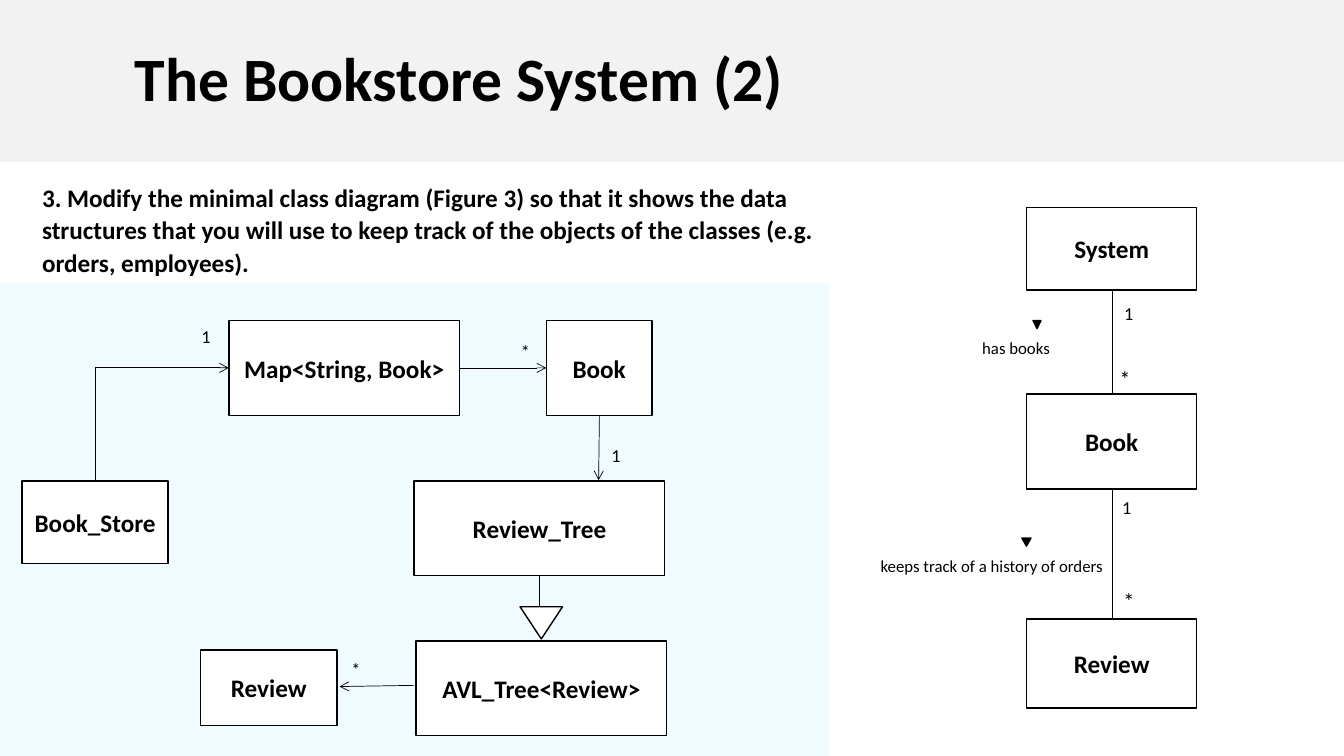
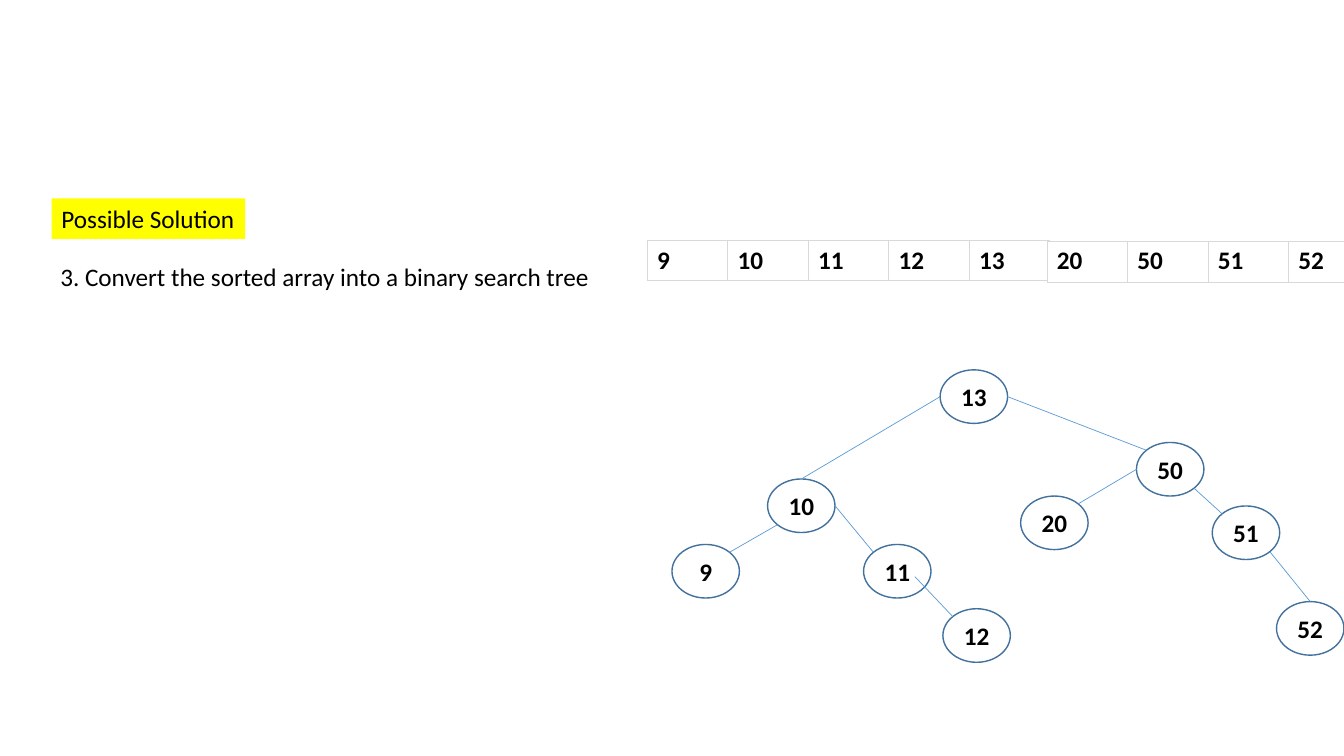
"""Build two slides: a class diagram and a binary search tree."""
from dataclasses import dataclass

from lxml.etree import SubElement
from pptx import Presentation
from pptx.dml.color import RGBColor as Rgb
from pptx.enum.shapes import MSO_CONNECTOR as Link, MSO_SHAPE as Kind
from pptx.enum.text import MSO_ANCHOR as Anchor, PP_ALIGN as Align
from pptx.oxml.ns import qn
from pptx.util import Cm, Pt


@dataclass(frozen=True)
class Theme:
    """Colours, font and type sizes of the deck."""
    font: str = "Calibri"
    ink: str = "000000"
    paper: str = "FFFFFF"
    band: str = "F2F2F2"
    panel: str = "EFFBFF"
    mark: str = "FFFF00"
    grid: str = "D9D9D9"
    ring: str = "41719C"
    branch: str = "5B9BD5"
    title: int = 44
    body: int = 18
    star: int = 16
    count: int = 13
    note: int = 12
    edge: float = 1
    thin: float = 0.5
    hair: float = 0.45


T = Theme()
WIDE, HIGH = 33.88, 19.05
NODE_W, NODE_H = 1.7, 1.35
CELL = 2.03
SITES = {"n": (0, -1), "e": (1, 0), "w": (-1, 0), "ne": (0.71, -0.71),
         "nw": (-0.71, -0.71), "se": (0.71, 0.71), "sw": (-0.71, 0.71),
         "in": (0.52, 0.2)}


def hue(code):
    """Turn a hex code into a colour."""
    return Rgb.from_string(code)


def write(frame, text, size=T.body, bold=False, align=Align.LEFT, space=None):
    """Fill a text frame with one styled paragraph."""
    par = frame.paragraphs[0]
    par.text, par.alignment, par.line_spacing = text, align, space
    font = par.font
    font.name, font.size, font.bold = T.font, Pt(size), bold
    font.color.rgb = hue(T.ink)


def form(slide, kind, box, fill, edge=None):
    """Add a flat preset shape."""
    shape = slide.shapes.add_shape(kind, *map(Cm, box))
    shape.shadow.inherit = False
    shape.fill.solid()
    shape.fill.fore_color.rgb = hue(fill)
    if edge:
        shape.line.color.rgb = hue(edge)
        shape.line.width = Pt(T.edge)
    else:
        shape.line.fill.background()
    return shape


def block(slide, text, box, kind=Kind.RECTANGLE, edge=T.ink):
    """Add an outlined shape with a bold centred name."""
    frame = form(slide, kind, box, T.paper, edge).text_frame
    frame.vertical_anchor = Anchor.MIDDLE
    frame.word_wrap = kind == Kind.RECTANGLE
    write(frame, text, bold=True, align=Align.CENTER)


def label(slide, text, box, size=T.body, wrap=False, **style):
    """Add a plain text box."""
    shape = slide.shapes.add_textbox(*map(Cm, box))
    shape.text_frame.word_wrap = wrap
    write(shape.text_frame, text, size, **style)
    return shape


def arrow(slide, ends, color=T.ink, tip=None, bent=False):
    """Add a thin connector, with an open tip if one is named."""
    kind = Link.ELBOW if bent else Link.STRAIGHT
    line = slide.shapes.add_connector(kind, *map(Cm, ends))
    line.line.color.rgb = hue(color)
    line.line.width = Pt(T.thin)
    props = line._element.spPr
    if bent:
        props.find(qn("a:prstGeom")).set("prst", "bentConnector2")
    if tip:
        SubElement(props.find(qn("a:ln")), qn(f"a:{tip}"), type="arrow")
    SubElement(props, qn("a:effectLst"))


def wedge(slide, box, fill):
    """Add a triangle that points down."""
    form(slide, Kind.ISOSCELES_TRIANGLE, box, fill, T.ink).rotation = 180


def header(slide, text):
    """Add the title band."""
    frame = form(slide, Kind.RECTANGLE, (0, 0, WIDE, 4.09), T.band).text_frame
    frame.margin_left = Cm(3.4)
    frame.vertical_anchor = Anchor.MIDDLE
    write(frame, text, T.title, bold=True, space=0.9)


def strip(slide, values, left, top, high):
    """Add a one-row table of array values."""
    size = map(Cm, (left, top, CELL * len(values), high))
    table = slide.shapes.add_table(1, len(values), *size).table
    table.first_row = table.horz_banding = False
    for cell, value in zip(table.iter_cells(), values):
        props = cell._tc.get_or_add_tcPr()
        for side in "LRTB":
            line = SubElement(props, qn(f"a:ln{side}"), w=str(Pt(T.hair)))
            fill = SubElement(line, qn("a:solidFill"))
            SubElement(fill, qn("a:srgbClr"), val=T.grid)
        cell.fill.solid()
        cell.fill.fore_color.rgb = hue(T.paper)
        write(cell.text_frame, value, bold=True)


def point(spot, site):
    """Locate a named site on a tree node."""
    (left, top), (across, down) = spot, SITES[site]
    return left + NODE_W / 2 * (1 + across), top + NODE_H / 2 * (1 + down)


def store(slide):
    """Draw the class diagrams of the bookstore."""
    form(slide, Kind.RECTANGLE, (0, 7.14, 20.9, HIGH - 7.14), T.panel)
    header(slide, "The Bookstore System (2)")
    label(slide, "3. Modify the minimal class diagram (Figure 3) so that it "
          "shows the data structures that you will use to keep track of the "
          "objects of the classes (e.g. orders, employees).",
          (0.81, 4.42, 21.11, 2.72), wrap=True, bold=True, space=1.07)
    for text, *box in (
            ("System", 25.88, 5.23, 4.29, 2.08),
            ("Book", 25.88, 9.93, 4.29, 2.39),
            ("Review", 25.88, 15.6, 4.29, 2.24),
            ("Map<String, Book>", 5.77, 8.08, 5.82, 2.39),
            ("Book", 13.77, 8.08, 2.67, 2.39),
            ("Review_Tree", 10.44, 12.12, 6.32, 2.39),
            ("Book_Store", 0.56, 12.12, 3.68, 2.08),
            ("Review", 5.05, 16.38, 3.45, 1.91),
            ("AVL_Tree<Review>", 10.49, 16.15, 6.32, 2.39)):
        block(slide, text, box)
    for ends in ((28.03, 7.31, 28.03, 9.93), (28.03, 12.32, 28.03, 15.6),
                 (13.59, 14.5, 13.59, 15.82)):
        arrow(slide, ends)
    for ends in ((11.59, 9.27, 13.77, 9.27), (15.11, 10.46, 15.09, 12.1),
                 (10.44, 17.27, 8.56, 17.3)):
        arrow(slide, ends, tip="tailEnd")
    arrow(slide, (5.77, 9.27, 2.41, 12.12), tip="headEnd", bent=True)
    wedge(slide, (13.11, 15.29, 1.07, 0.81), T.paper)
    wedge(slide, (26.04, 8.08, 0.2, 0.2), T.ink)
    wedge(slide, (25.76, 13.56, 0.23, 0.2), T.ink)
    for text, left, top in (
            ("1", 28.09, 7.49), ("1", 28.04, 12.37), ("1", 4.83, 8.08),
            ("*", 12.88, 8.46), ("1", 15.16, 11.07), ("*", 8.61, 16.46)):
        label(slide, text, (left, top, 0.74, 0.81), T.count)
    for left, top in ((27.97, 9.07), (28.07, 14.66)):
        label(slide, "*", (left, top, 0.8, 0.94), T.star)
    label(slide, "has books", (24.51, 8.38, 2.21, 0.76), T.note)
    label(slide, "keeps track of a history of orders",
          (21.95, 13.89, 6.15, 0.76), T.note)


def tree(slide):
    """Draw the sorted array and its search tree."""
    tag = label(slide, "Possible Solution", (1.3, 5, 4.88, 1.02))
    tag.fill.solid()
    tag.fill.fore_color.rgb = hue(T.mark)
    label(slide, "3. Convert the sorted array into a binary search tree",
          (1.27, 6.45, 14.07, 1.02), wrap=True)
    strip(slide, ("9", "10", "11", "12", "13"), 16.31, 6.05, 1.02)
    strip(slide, ("20", "50", "51", "52"), 26.39, 6.07, 1.04)
    nodes = {"13": (23.7, 9.32), "10": (19.35, 12.07), "9": (16.94, 13.72),
             "11": (21.77, 13.72), "12": (23.77, 15.34),
             "50": (28.65, 11.15), "20": (25.73, 12.5),
             "51": (30.56, 12.75), "52": (32.18, 15.16)}
    for text, spot in nodes.items():
        block(slide, text, (*spot, NODE_W, NODE_H), Kind.OVAL, T.ring)
    for top, start, low, end in (
            ("13", "w", "10", "n"), ("13", "e", "50", "nw"),
            ("10", "sw", "9", "ne"), ("10", "e", "11", "nw"),
            ("11", "in", "12", "nw"), ("50", "w", "20", "ne"),
            ("50", "se", "51", "nw"), ("51", "se", "52", "n")):
        ends = point(nodes[top], start) + point(nodes[low], end)
        arrow(slide, ends, T.branch)


def main():
    """Build and save the deck."""
    deck = Presentation()
    deck.slide_width, deck.slide_height = Cm(WIDE), Cm(HIGH)
    for draw in (store, tree):
        draw(deck.slides.add_slide(deck.slide_layouts[6]))
    deck.save("out.pptx")


if __name__ == "__main__":
    main()
